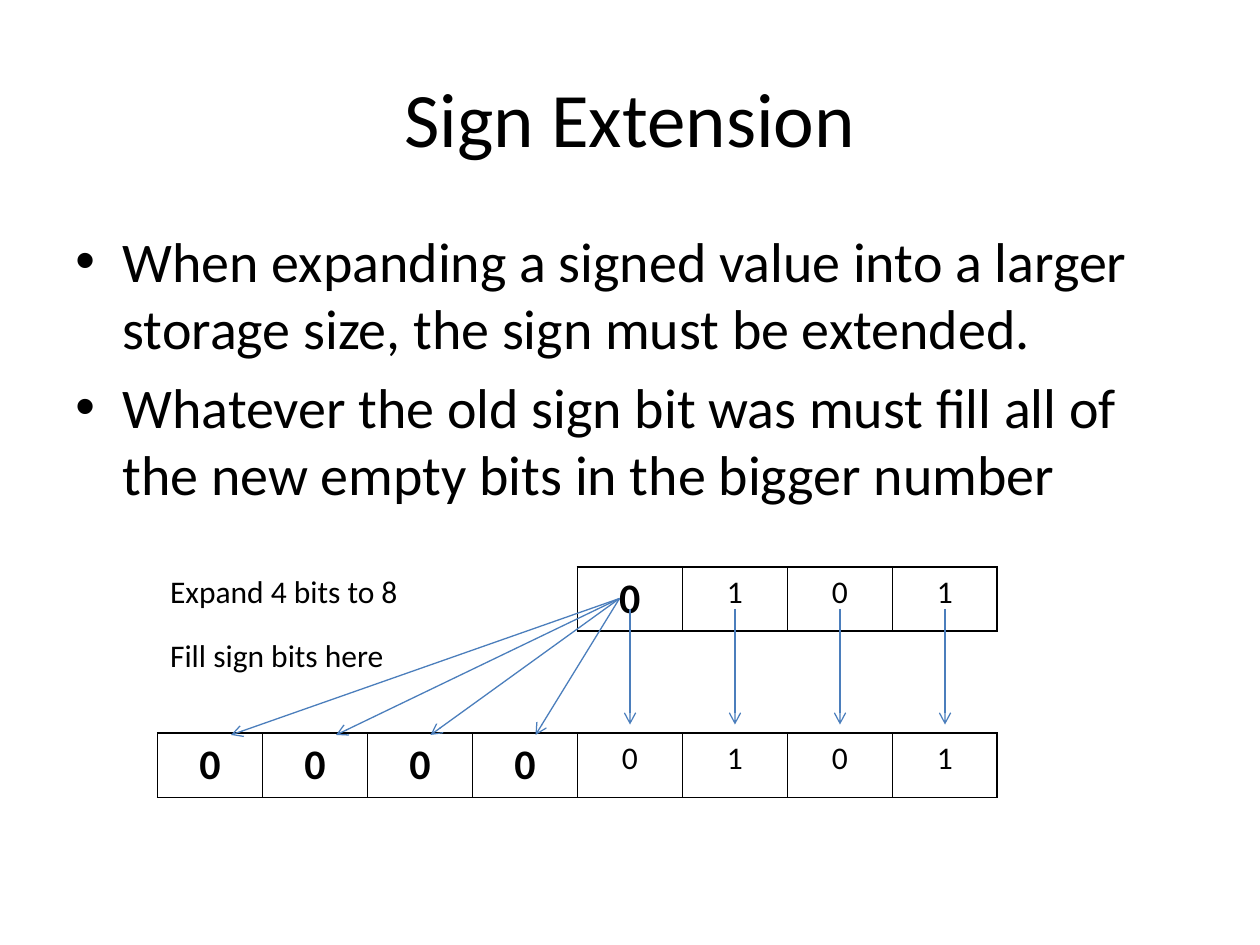
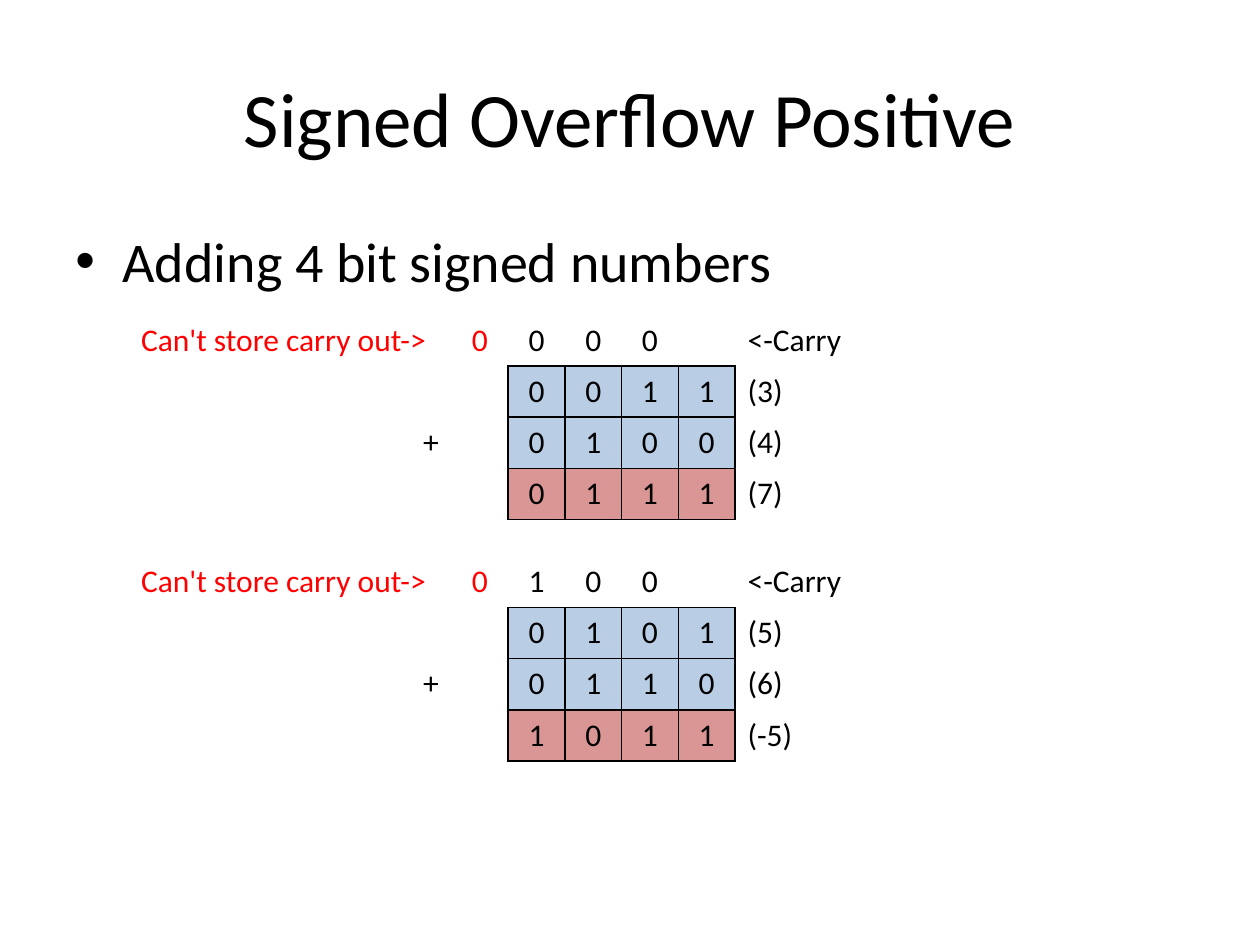
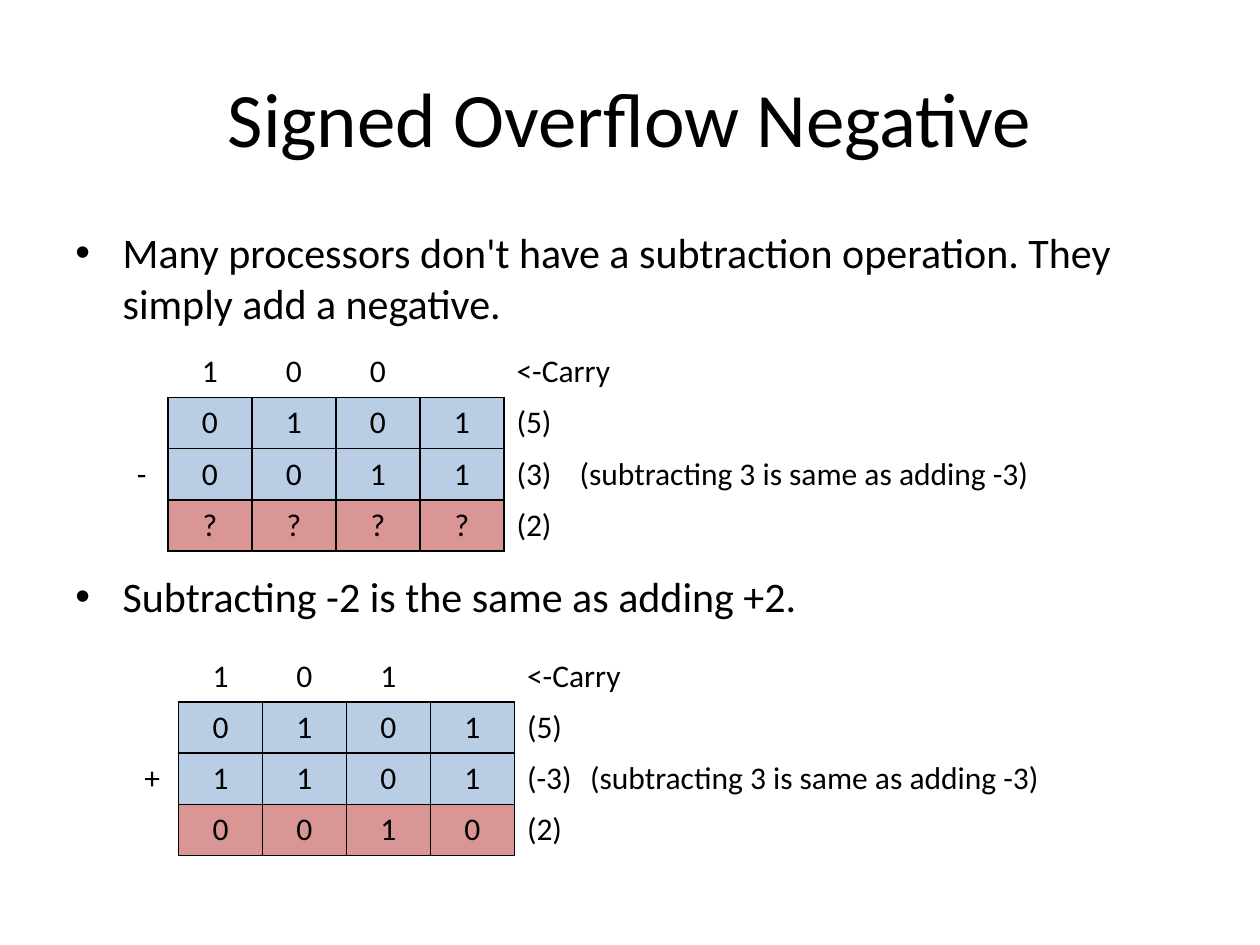
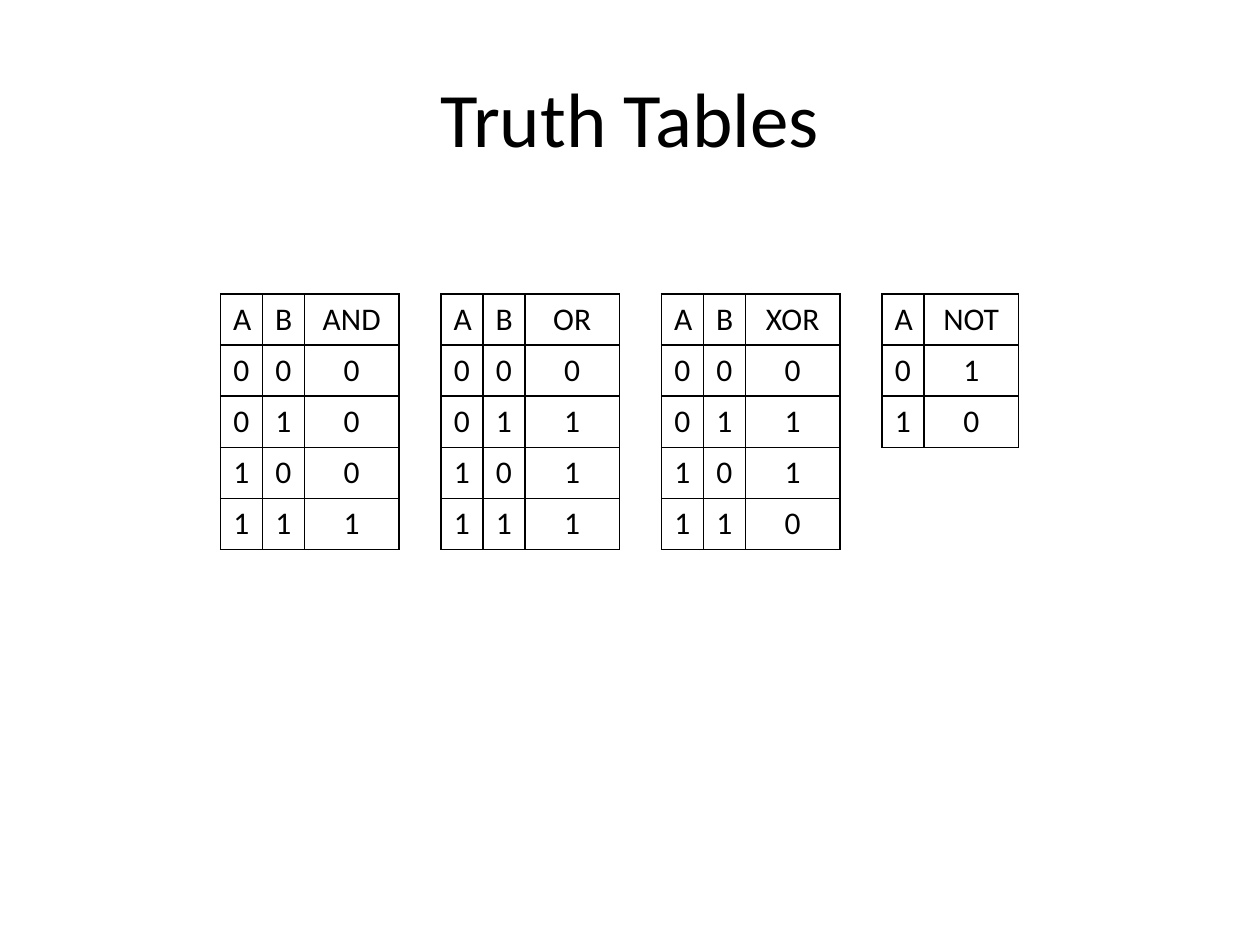
from itertools import product

from lxml import etree
from pptx import Presentation
from pptx.dml.color import RGBColor
from pptx.enum.shapes import MSO_CONNECTOR
from pptx.enum.text import MSO_ANCHOR, PP_ALIGN
from pptx.oxml.ns import qn
from pptx.util import Emu, Inches, Pt

LEFT, CENTER, RIGHT = PP_ALIGN.LEFT, PP_ALIGN.CENTER, PP_ALIGN.RIGHT
TOP, MIDDLE = MSO_ANCHOR.TOP, MSO_ANCHOR.MIDDLE
STRAIGHT = MSO_CONNECTOR.STRAIGHT

COLORS = {
    "text": "000000",
    "carry_out": "FF0000",
    "operand": "B9CDE5",
    "result": "D99694",
    "arrow": "4B7EBC",
}
FONT = "Calibri"
SLIDE_WIDTH, SLIDE_HEIGHT = Inches(10), Inches(7.5)
GRID_COLUMNS = 120
UNIT = SLIDE_WIDTH / GRID_COLUMNS
TITLE_AREA = (6, 3.6, 108, 15)
BODY_AREA = (6, 21, 108, 59.4)
ROW = 4.87
TALL_ROW = 6.1
BIT_COUNT = 4
SIDES = {"lnL": (0, -1), "lnR": (0, 1), "lnT": (-1, 0), "lnB": (1, 0)}
GATES = {"AND": "0001", "OR": "0111", "XOR": "0110", "NOT": "10"}


def grid(count):
    return Emu(round(count * UNIT))


def rgb(name):
    return RGBColor.from_string(COLORS[name])


def write(para, text, size, color="text", bold=False):
    span = para.add_run()
    span.text = text
    formats = {"name": FONT, "size": Pt(size), "bold": bold}
    for attribute, value in formats.items():
        setattr(span.font, attribute, value)
    span.font.color.rgb = rgb(color)


def add_text_frame(page, area, anchor):
    box = page.shapes.add_textbox(*map(grid, area))
    frame = box.text_frame
    frame.word_wrap = True
    frame.vertical_anchor = anchor
    return frame


def add_page(deck, title):
    page = deck.slides.add_slide(deck.slide_layouts[6])
    para = add_text_frame(page, TITLE_AREA, MIDDLE).paragraphs[0]
    para.alignment = CENTER
    write(para, title, 44)
    return page


def add_bullets(page, texts, size=32, gap=6.4):
    frame = add_text_frame(page, BODY_AREA, TOP)
    for index, text in enumerate(texts):
        para = frame.add_paragraph() if index else frame.paragraphs[0]
        properties = para._p.get_or_add_pPr()
        indent = Inches(0.375)
        properties.set("marL", str(indent))
        properties.set("indent", str(-indent))
        if index:
            para.space_before = Pt(gap)
        font = etree.SubElement(properties, qn("a:buFont"))
        font.set("typeface", "Arial")
        bullet = etree.SubElement(properties, qn("a:buChar"))
        bullet.set("char", "•")
        write(para, text, size)


def add_border(cell, side, visible):
    properties = cell._tc.get_or_add_tcPr()
    line = etree.SubElement(properties, qn(f"a:{side}"))
    line.set("w", str(Pt(1) if visible else 0))
    if visible:
        fill = etree.SubElement(line, qn("a:solidFill"))
        etree.SubElement(fill, qn("a:srgbClr")).set("val", COLORS["text"])
    else:
        etree.SubElement(line, qn("a:noFill"))


def style_cell(cell, text, align=CENTER, fill=None, tab=None, **font):
    if fill:
        cell.fill.solid()
        cell.fill.fore_color.rgb = rgb(fill)
    else:
        cell.fill.background()
    if text:
        para = cell.text_frame.paragraphs[0]
        para.alignment = align
        if tab:
            stops = etree.SubElement(para._p.get_or_add_pPr(), qn("a:tabLst"))
            stop = etree.SubElement(stops, qn("a:tab"))
            stop.set("pos", str(grid(tab)))
            stop.set("algn", "l")
        write(para, text, **{"size": 18, **font})


def add_table(page, left, top, columns, heights, rows, boxed, look, merges=()):
    area = (left, top, sum(columns), sum(heights))
    table = page.shapes.add_table(len(rows), len(columns), *map(grid, area)).table
    table.first_row = table.horz_banding = False
    for column, width in zip(table.columns, columns):
        column.width = grid(width)
    for row, height in zip(table.rows, heights):
        row.height = grid(height)
    for row, first, last in merges:
        table.cell(row, first).merge(table.cell(row, last))
    for row, texts in enumerate(rows):
        for column, text in enumerate(texts):
            cell = table.cell(row, column)
            width = cell.span_width if cell.is_merge_origin else 1
            for side, (down, across) in SIDES.items():
                reach = width if side == "lnR" else across
                neighbour = (row + down, column + reach)
                add_border(cell, side, (row, column) in boxed or neighbour in boxed)
            style_cell(cell, text, **look(row, column))


def add_sum(page, left, top, columns, rows):
    first = len(columns) - BIT_COUNT - 1
    last = len(columns) - 1
    has_carry_out = first > 1
    boxed = set(product(range(1, len(rows)), range(first, last)))

    def look(row, column):
        if (row, column) in boxed:
            return {"fill": "result" if row == len(rows) - 1 else "operand"}
        if column == last:
            return {"align": LEFT, "tab": 6}
        if has_carry_out and column < first:
            return {"align": RIGHT} if row else {"color": "carry_out"}
        return {}

    add_table(page, left, top, columns, [ROW] * len(rows), rows, boxed, look)


def add_truth_table(page, left, top, gate, outputs):
    input_count = len(outputs) // 2
    inputs = product("01", repeat=input_count)
    rows = [[*"AB"[:input_count], gate]]
    rows += [[*bits, output] for bits, output in zip(inputs, outputs)]
    columns = [4] * input_count + [9]
    boxed = set(product(range(len(rows)), range(len(columns))))
    add_table(page, left, top, columns, [ROW] * len(rows), rows, boxed,
              lambda row, column: {})


def add_arrow(page, start, end):
    arrow = page.shapes.add_connector(STRAIGHT, *map(grid, (*start, *end)))
    arrow.line.color.rgb = rgb("arrow")
    arrow.line.width = Pt(0.75)
    tail = etree.SubElement(arrow.line._get_or_add_ln(), qn("a:tailEnd"))
    tail.set("type", "arrow")
    etree.SubElement(arrow._element.spPr, qn("a:effectLst"))


def add_sign_extension(deck):
    page = add_page(deck, "Sign Extension")
    add_bullets(page, [
        "When expanding a signed value into a larger storage size, "
        "the sign must be extended.",
        "Whatever the old sign bit was must fill all of the new empty bits "
        "in the bigger number",
    ])
    blank, bits = [""] * BIT_COUNT, list("0101")
    rows = [
        ["Expand 4 bits to 8", *blank[1:], *bits],
        ["Fill sign bits here", *blank[1:], *blank],
        blank * 2,
        [bits[0]] * BIT_COUNT + bits,
    ]
    boxed = {(0, column) for column in range(4, 8)}
    boxed |= {(3, column) for column in range(8)}
    sign_bits = {(0, 4), *((3, column) for column in range(4))}

    def look(row, column):
        if (row, column) in sign_bits:
            return {"size": 24, "bold": True}
        return {"align": CENTER if (row, column) in boxed else LEFT}

    add_table(page, 15, 54, [10] * 8, [TALL_ROW, ROW, ROW, TALL_ROW],
              rows, boxed, look, merges=[(0, 0, 3), (1, 0, 3)])
    for target in (22, 32, 41, 51):
        add_arrow(page, (59, 57), (target, 70))
    for column in range(BIT_COUNT):
        center = 60 + 10 * column
        add_arrow(page, (center, 58), (center, 69))


def add_overflow_positive(deck):
    page = add_page(deck, "Signed Overflow Positive")
    add_bullets(page, ["Adding 4 bit signed numbers"])
    columns = [32] + [5.4] * 5 + [30]
    sums = [
        (30, "000", ("0011", "(3)"), ("0100", "(4)"), ("0111", "(7)")),
        (53, "100", ("0101", "(5)"), ("0110", "(6)"), ("1011", "(-5)")),
    ]
    for top, carry, *numbers in sums:
        rows = [["Can't store carry out->", "0", *carry, "", "<-Carry"]]
        for sign, (bits, value) in zip(["", "+", ""], numbers):
            rows.append([sign, "", *bits, value])
        add_sum(page, 11, top, columns, rows)


def add_overflow_negative(deck):
    page = add_page(deck, "Signed Overflow Negative")
    add_bullets(page, [
        "Many processors don't have a subtraction operation. "
        "They simply add a negative.",
        "Subtracting -2 is the same as adding +2.",
    ], size=24, gap=139)
    columns = [5] + [8] * BIT_COUNT + [59]
    remark = "\t(subtracting 3 is same as adding -3)"
    sums = [
        (11, 33, "100", "-", ("0101", "(5)"), ("0011", "(3)" + remark), ("????", "(2)")),
        (12, 62, "101", "+", ("0101", "(5)"), ("1101", "(-3)" + remark), ("0010", "(2)")),
    ]
    for left, top, carry, operator, *numbers in sums:
        rows = [["", *carry, "", "<-Carry"]]
        for sign, (bits, value) in zip(["", operator, ""], numbers):
            rows.append([sign, *bits, value])
        add_sum(page, left, top, columns, rows)


def add_truth_tables(deck):
    page = add_page(deck, "Truth Tables")
    for index, (gate, outputs) in enumerate(GATES.items()):
        add_truth_table(page, 21 + 21 * index, 28, gate, outputs)


def main():
    deck = Presentation()
    deck.slide_width, deck.slide_height = SLIDE_WIDTH, SLIDE_HEIGHT
    add_sign_extension(deck)
    add_overflow_positive(deck)
    add_overflow_negative(deck)
    add_truth_tables(deck)
    deck.save("out.pptx")


if __name__ == "__main__":
    main()
